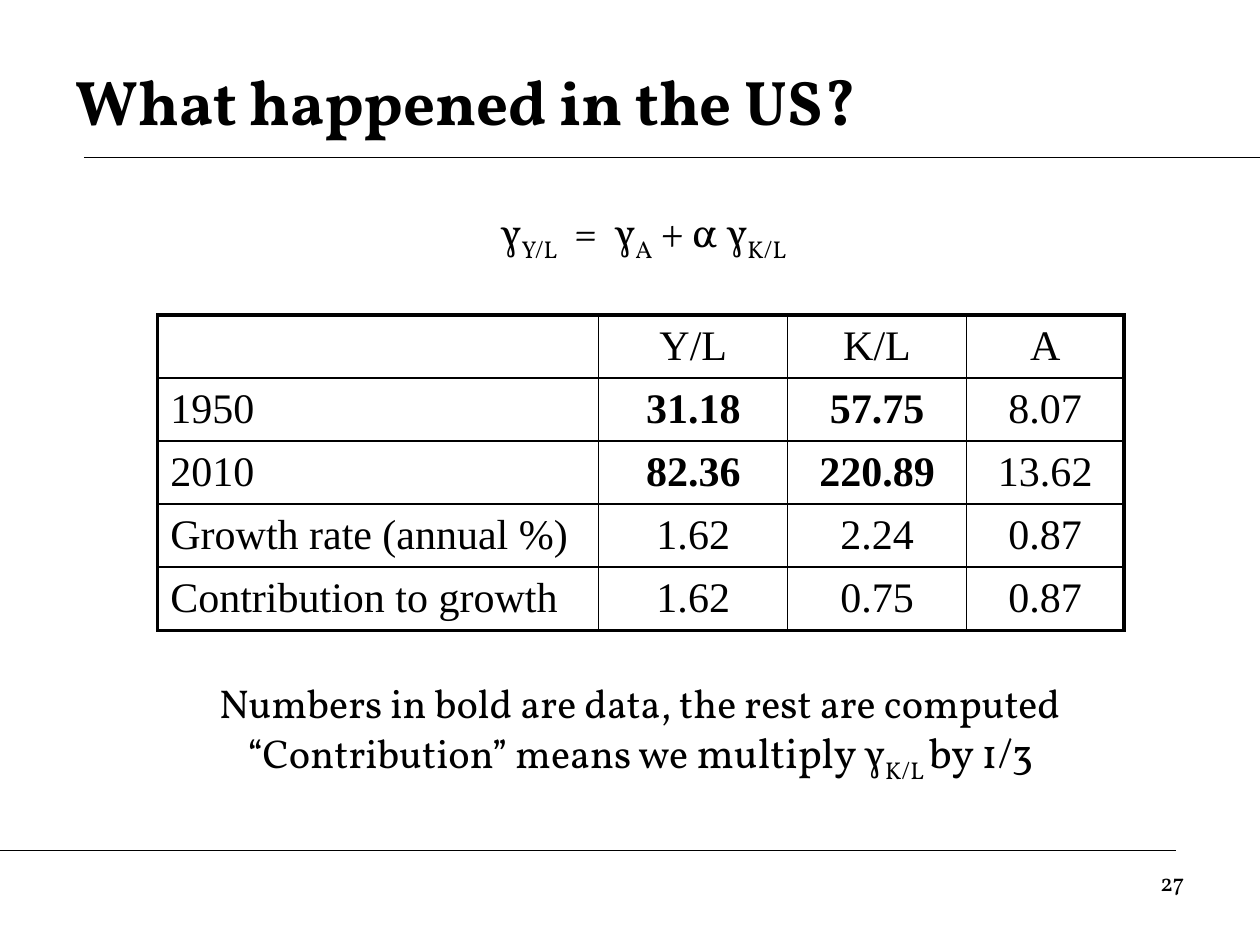
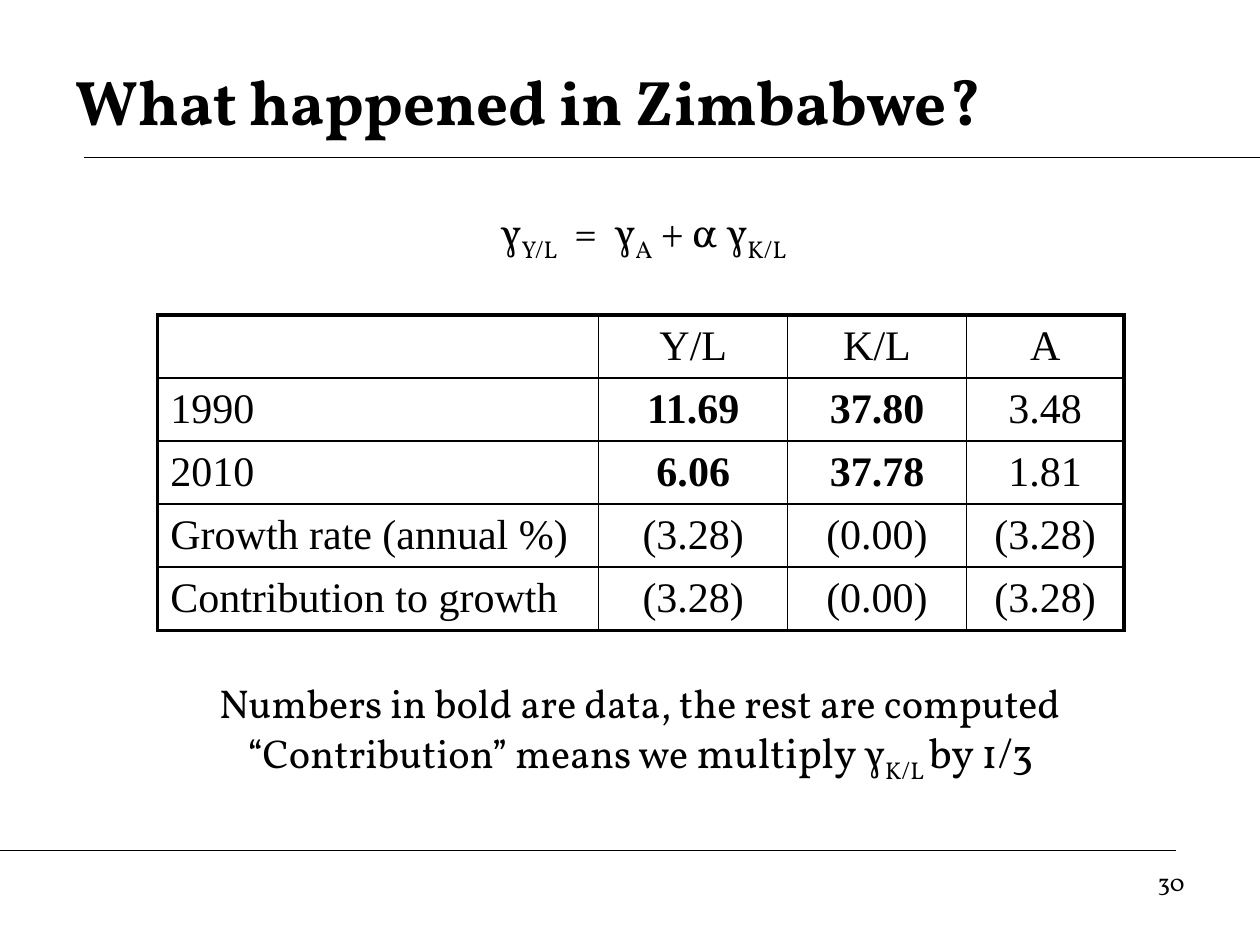
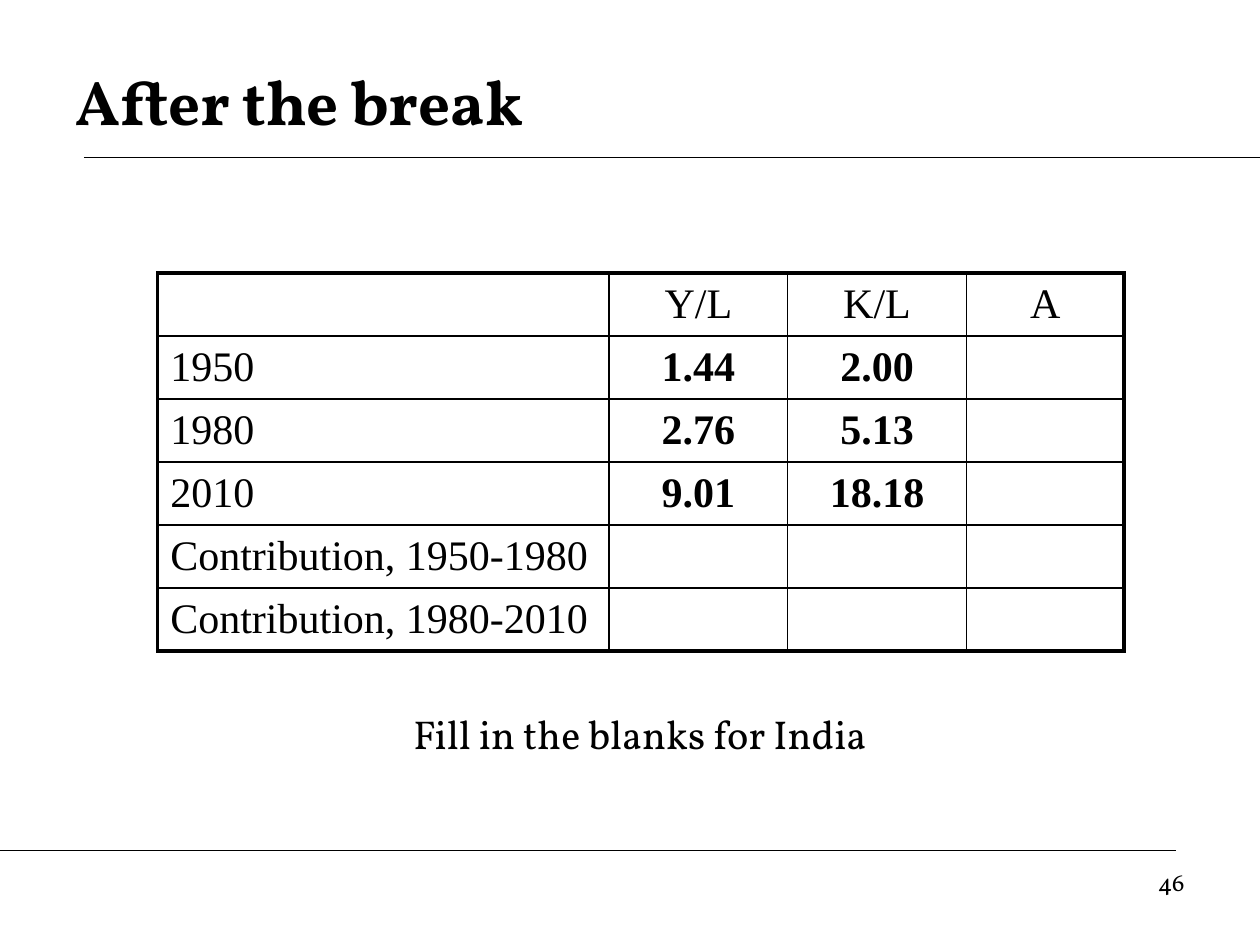
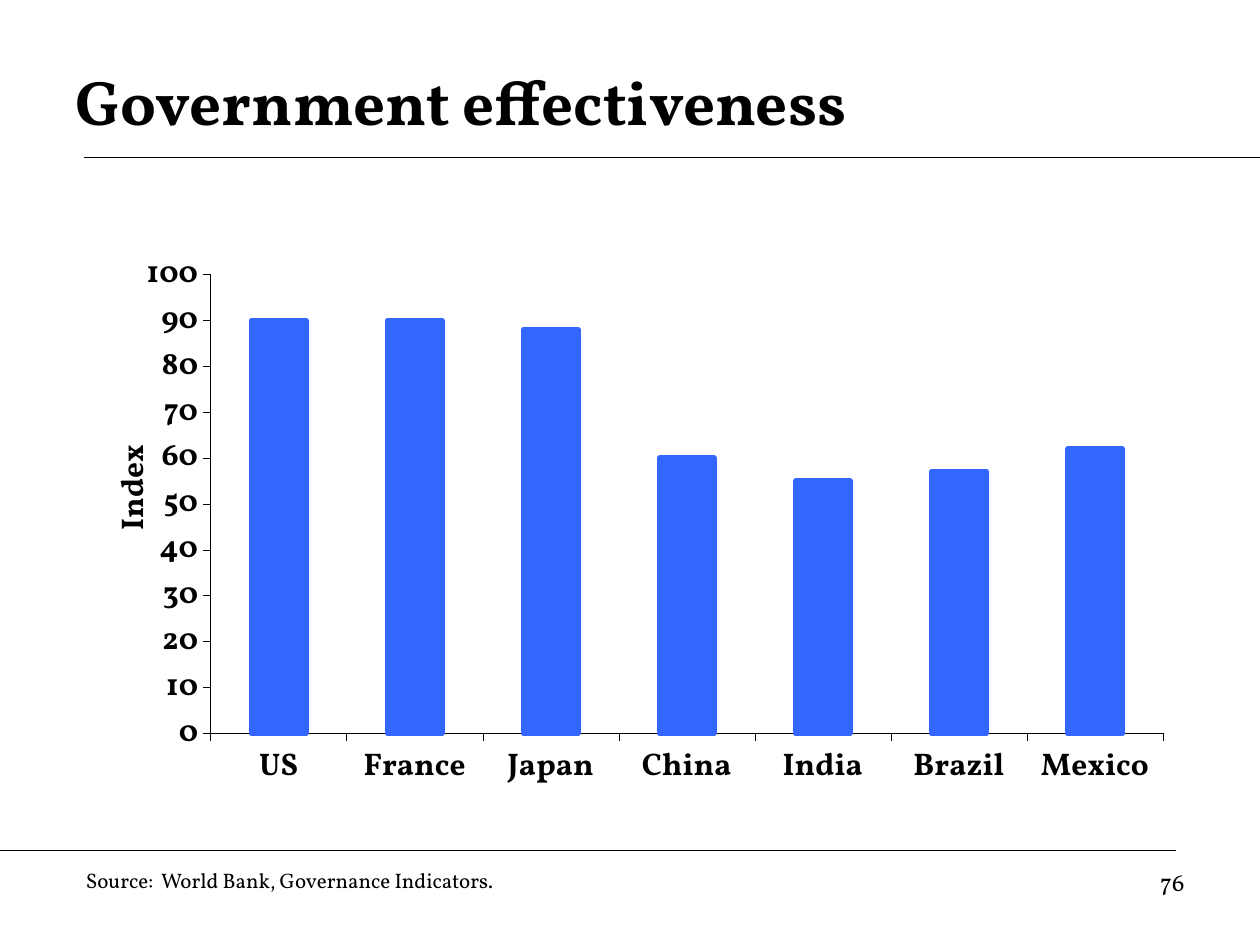
from lxml import etree
from pptx import Presentation
from pptx import util as u
from pptx.chart import data as cd
from pptx.dml.color import RGBColor
from pptx.enum import chart as ch, shapes, text
from pptx.oxml import parse_xml
from pptx.oxml.ns import nsdecls, qn

BLACK = RGBColor(0x00, 0x00, 0x00)
BLUE = RGBColor(0x33, 0x66, 0xFF)
SERIF = "Vollkorn"
TIMES = "Times New Roman"
LEFT, MID, RIGHT = text.PP_ALIGN.LEFT, text.PP_ALIGN.CENTER, text.PP_ALIGN.RIGHT
THIN, THICK = 1, 2.25


def style(font, size, face=SERIF, bold=False):
    font.name = face
    font.size = u.Pt(size)
    font.bold = bold
    font.color.rgb = BLACK


def write(frame, lines, size=24, face=SERIF, bold=False, align=LEFT):
    for i, line in enumerate(lines):
        para = frame.add_paragraph() if i else frame.paragraphs[0]
        para.alignment = align
        parts = [(line, size)] if isinstance(line, str) else line
        for words, points in parts:
            for j, piece in enumerate(words.split("|")):
                if not piece:
                    continue
                run = para.add_run()
                run.text = piece
                style(run.font, points, face, bold)
                if j % 2:
                    run.font._element.set("baseline", "-25000")


def edge(cell, side, width):
    props = cell._tc.get_or_add_tcPr()
    props.append(parse_xml(
        f'<a:ln{side} {nsdecls("a")} w="{u.Pt(width)}"><a:solidFill>'
        f'<a:srgbClr val="{BLACK}"/></a:solidFill></a:ln{side}>'))


def place(parent, spot, **sizes):
    old = parent.find(qn("c:layout"))
    if old is not None:
        parent.remove(old)
    tags = "".join(f'<c:{k} val="{v}"/>' for k, v in sizes.items())
    parent.insert(spot, parse_xml(
        f'<c:layout {nsdecls("c")}><c:manualLayout>{tags}</c:manualLayout></c:layout>'))


class Deck:
    def __init__(self):
        self.show = Presentation()
        self.show.slide_width = u.Cm(25.4)
        self.show.slide_height = u.Cm(19.05)
        self.slide = None

    def start(self, title, page):
        self.slide = self.show.slides.add_slide(self.show.slide_layouts[6])
        self.rule(1.69, 25.4, 3.18)
        self.rule(0, 23.71, 17.14)
        self.box([title], 1.27, 0.85, 22.86, 2.33, size=36, bold=True,
                 anchor=text.MSO_ANCHOR.MIDDLE)
        self.box([page], 18.2, 17.36, 5.93, 1.31, size=14, align=RIGHT)

    def rule(self, x1, x2, y):
        line = self.slide.shapes.add_connector(
            shapes.MSO_CONNECTOR.STRAIGHT, u.Cm(x1), u.Cm(y), u.Cm(x2), u.Cm(y))
        line.line.color.rgb = BLACK
        line.line.width = u.Pt(0.75)
        etree.SubElement(line._element.spPr, qn("a:effectLst"))

    def box(self, lines, x, y, w, h, anchor=text.MSO_ANCHOR.TOP, **form):
        shape = self.slide.shapes.add_textbox(u.Cm(x), u.Cm(y), u.Cm(w), u.Cm(h))
        frame = shape.text_frame
        frame.word_wrap = True
        frame.vertical_anchor = anchor
        write(frame, lines, **form)

    def grid(self, rows, widths, y):
        high = 1.1
        table = self.slide.shapes.add_table(
            len(rows), len(widths), u.Cm(3.18), u.Cm(y),
            u.Cm(sum(widths)), u.Cm(high * len(rows))).table
        table.first_row = table.horz_banding = False
        for col, wide in zip(table.columns, widths):
            col.width = u.Cm(wide)
        for r, row in enumerate(rows):
            table.rows[r].height = u.Cm(high)
            for c, words in enumerate(row):
                cell = table.cell(r, c)
                ends = {"L": c == 0, "R": c == len(row) - 1,
                        "T": r == 0, "B": r == len(rows) - 1}
                for side, outer in ends.items():
                    edge(cell, side, THICK if outer else THIN)
                cell.fill.background()
                cell.vertical_anchor = text.MSO_ANCHOR.MIDDLE
                data = c in (1, 2) and row[0].isdigit()
                write(cell.text_frame, [words], face=TIMES, bold=data,
                      align=MID if c else LEFT)

    def bars(self, names, values, label, x, y, w, h):
        data = cd.CategoryChartData()
        data.categories = names
        data.add_series("Series 1", values)
        chart = self.slide.shapes.add_chart(
            ch.XL_CHART_TYPE.COLUMN_CLUSTERED,
            u.Cm(x), u.Cm(y), u.Cm(w), u.Cm(h), data).chart
        chart.has_legend = chart.has_title = False
        style(chart.font, 17.9, "Arial", True)
        plot = chart.plots[0]
        plot.gap_width = 150
        plot.vary_by_categories = False
        fmt = plot.series[0].format
        fmt.fill.solid()
        fmt.fill.fore_color.rgb = fmt.line.color.rgb = BLUE
        fmt.line.width = u.Pt(3)
        for axis in (chart.category_axis, chart.value_axis):
            axis.has_major_gridlines = False
            axis.major_tick_mark = ch.XL_TICK_MARK.OUTSIDE
            axis.minor_tick_mark = ch.XL_TICK_MARK.NONE
            axis.format.line.color.rgb = BLACK
            axis.format.line.width = u.Pt(0.25)
            style(axis.tick_labels.font, 17.9, bold=True)
        axis = chart.value_axis
        axis.minimum_scale, axis.maximum_scale, axis.major_unit = 0, 100, 10
        write(axis.axis_title.text_frame, [label], size=17.9, bold=True)
        place(axis.axis_title._element, 1, xMode="edge", yMode="edge", x=0.03, y=0.35)
        place(chart._chartSpace.chart.plotArea, 0, layoutTarget="inner",
              xMode="edge", yMode="edge", x=0.127, y=0.077, w=0.863, h=0.762)


HEAD = ["", "Y/L", "K/L", "A"]


def growth(deck, place, page, stats):
    deck.start(f"What happened in {place}?", page)
    deck.grid([HEAD, *stats], [8.89, 3.81, 3.6, 3.18], 6.35)
    deck.box(["Numbers in bold are data, the rest are computed",
              [("“Contribution” means we ", 23), ("multiply γ|K/L |by 1/3", 24)]],
             1.69, 13.55, 22.44, 2.33, size=23, align=MID)
    deck.box(["γ|Y/L|  =  γ|A| + α γ|K/L |"], 4.23, 4.02, 17.57, 2.06, align=MID)


def main():
    deck = Deck()
    growth(deck, "the US", "27", [
        ["1950", "31.18", "57.75", "8.07"],
        ["2010", "82.36", "220.89", "13.62"],
        ["Growth rate (annual %)", "1.62", "2.24", "0.87"],
        ["Contribution to growth", "1.62", "0.75", "0.87"]])
    growth(deck, "Zimbabwe", "30", [
        ["1990", "11.69", "37.80", "3.48"],
        ["2010", "6.06", "37.78", "1.81"],
        ["Growth rate (annual %)", "(3.28)", "(0.00)", "(3.28)"],
        ["Contribution to growth", "(3.28)", "(0.00)", "(3.28)"]])

    deck.start("After the break", "46")
    deck.grid([HEAD,
               ["1950", "1.44", "2.00", ""],
               ["1980", "2.76", "5.13", ""],
               ["2010", "9.01", "18.18", ""],
               ["Contribution, 1950-1980", "", "", ""],
               ["Contribution, 1980-2010", "", "", ""]],
              [9.1, 3.6, 3.6, 3.18], 5.5)
    deck.box(["Fill in the blanks for India"], 1.69, 14.18, 22.44, 2.33,
             size=23, align=MID)

    deck.start("Government effectiveness", "76")
    deck.bars(["US", "France", "Japan", "China", "India", "Brazil", "Mexico"],
              [90, 90, 88, 60, 55, 57, 62], "Index", 1.42, 4.6, 22.25, 12.14)
    deck.box(["Source:  World Bank, Governance Indicators."],
             1.48, 17.36, 12.27, 0.76, size=12)
    deck.show.save("out.pptx")


if __name__ == "__main__":
    main()
